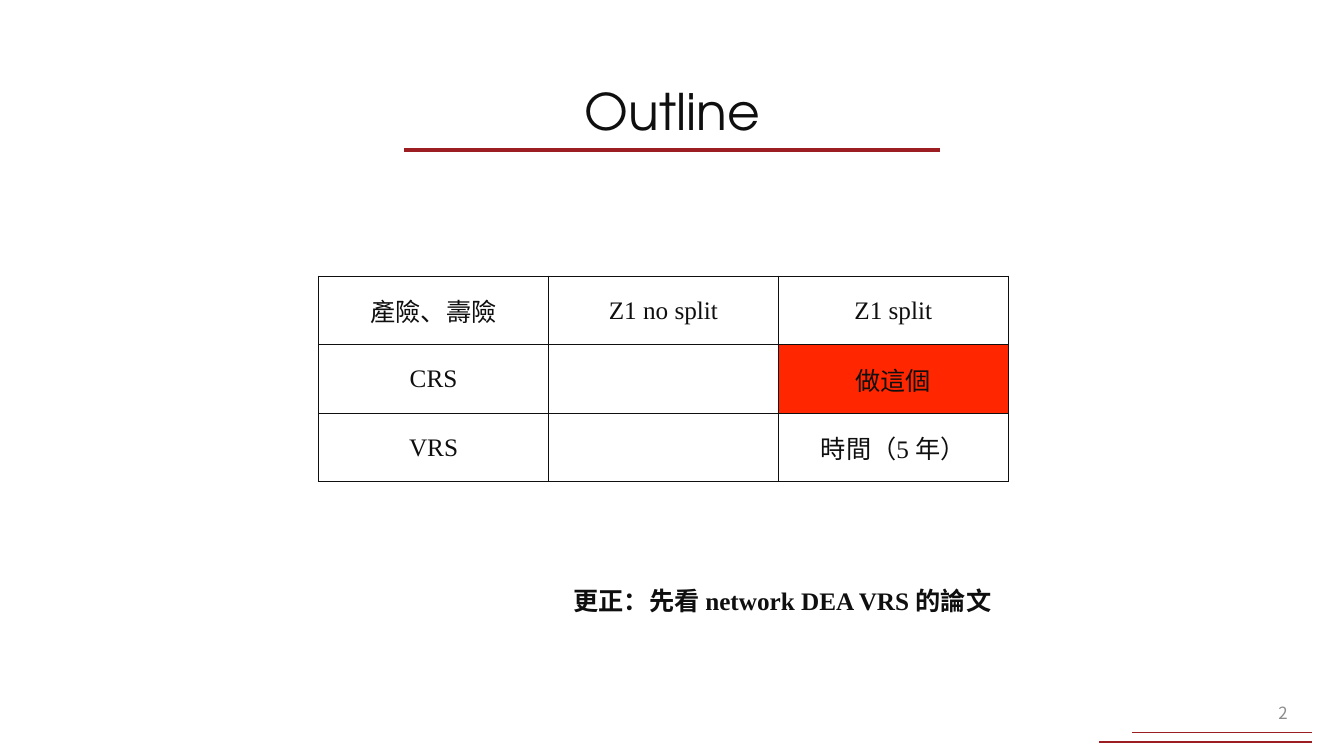
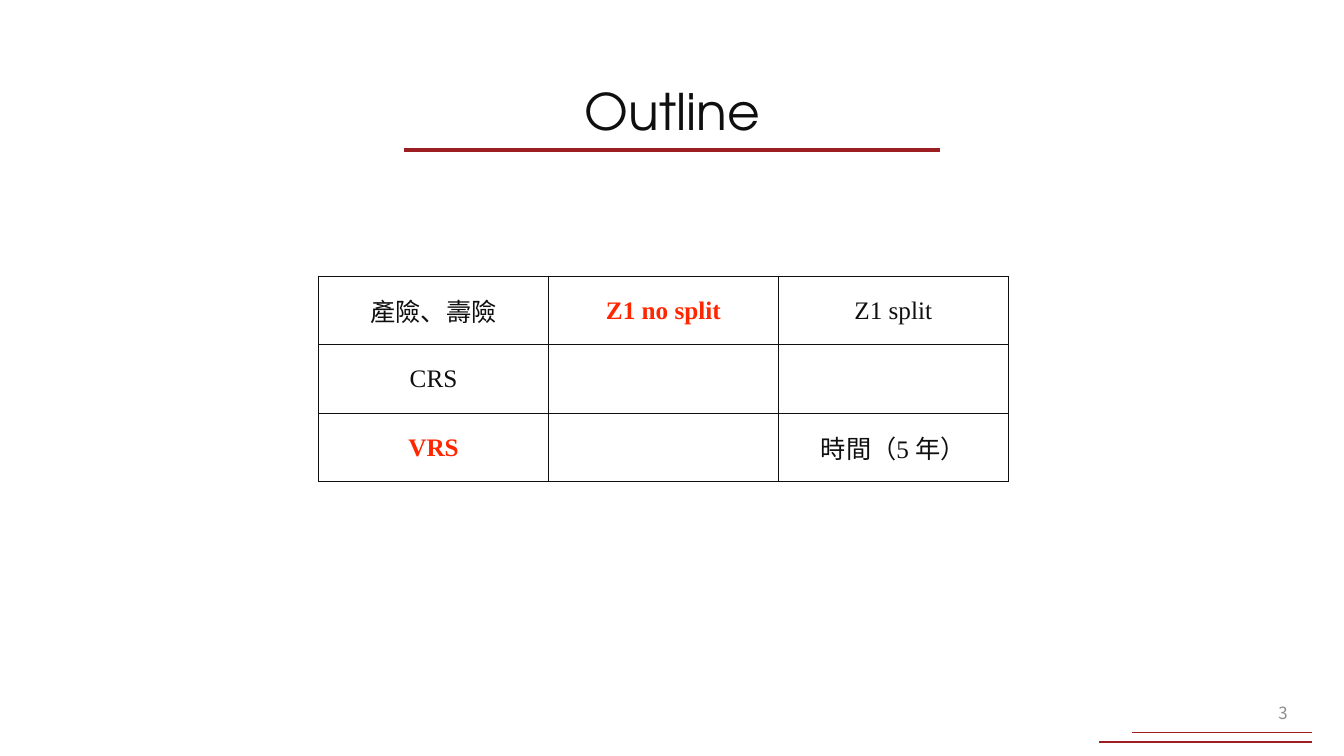
from lxml import etree
from pptx import Presentation
from pptx.dml.color import RGBColor
from pptx.enum import shapes, text
from pptx.oxml import ns
from pptx import util as u

INK = RGBColor(0x0F, 0x0F, 0x0F)
MAROON = RGBColor(0x9C, 0x1D, 0x22)
RED = RGBColor(0xFF, 0x26, 0x00)
GREY = RGBColor(0x8C, 0x8C, 0x8C)

TITLE = {"name": "TeX Gyre Adventor", "size": u.Pt(36), "color": INK}
NUMBER = {"name": "Noto Sans CJK TC", "size": u.Pt(12), "color": GREY}
BODY = {"name": "Times New Roman", "size": u.Pt(18), "color": INK, "bold": False}
NOTE = BODY | {"bold": True}
MARKED = NOTE | {"color": RED}

LEFT, CENTER, RIGHT = text.PP_ALIGN.LEFT, text.PP_ALIGN.CENTER, text.PP_ALIGN.RIGHT
TOP, MIDDLE = text.MSO_ANCHOR.TOP, text.MSO_ANCHOR.MIDDLE

RULES = [
    (4.01, 9.32, 1.49, 2.5),
    (10.9, 13.01, 7.36, 1.5),
    (11.23, 13.01, 7.27, 1),
]
TABLE_LEFT, TABLE_TOP = 3.16, 2.74
COLUMN_WIDTH, ROW_HEIGHT = 2.28, 0.68
HEADER = ["產險、壽險", "Z1 no split", "Z1 split"]
LAST_ROW = ["VRS", "", "時間（5 年）"]

SLIDES = [
    {
        "number": "2",
        "rows": [HEADER, ["CRS", "", "做這個"], LAST_ROW],
        "filled": ["做這個"],
        "marked": [],
        "note": "更正：先看 network DEA VRS 的論文",
    },
    {
        "number": "3",
        "rows": [HEADER, ["CRS", "", ""], LAST_ROW],
        "filled": [],
        "marked": ["Z1 no split", "VRS"],
        "note": "",
    },
]


def write(paragraph, words, style, align):
    paragraph.alignment = align
    run = paragraph.add_run()
    run.text = words
    for key, value in style.items():
        if key == "color":
            run.font.color.rgb = value
        else:
            setattr(run.font, key, value)


def add_text(slide, box, words, style, align, anchor, wrap=True):
    frame = slide.shapes.add_textbox(*map(u.Inches, box)).text_frame
    frame.word_wrap = wrap
    frame.vertical_anchor = anchor
    write(frame.paragraphs[0], words, style, align)


presentation = Presentation()
presentation.slide_width = u.Inches(13.33)
presentation.slide_height = u.Inches(7.5)

for content in SLIDES:
    slide = presentation.slides.add_slide(presentation.slide_layouts[6])

    for start, end, height, weight in RULES:
        rule = slide.shapes.add_connector(
            shapes.MSO_CONNECTOR.STRAIGHT,
            u.Inches(start), u.Inches(height), u.Inches(end), u.Inches(height),
        )
        rule.line.color.rgb = MAROON
        rule.line.width = u.Pt(weight)
        etree.SubElement(rule._element.spPr, ns.qn("a:effectLst"))

    add_text(slide, (5.69, 0.75, 1.96, 0.71), "Outline", TITLE, CENTER, TOP, wrap=False)
    add_text(slide, (11.4, 6.87, 1.47, 0.4), content["number"], NUMBER, RIGHT, MIDDLE)

    rows = content["rows"]
    table = slide.shapes.add_table(
        len(rows), len(HEADER), u.Inches(TABLE_LEFT), u.Inches(TABLE_TOP),
        u.Inches(COLUMN_WIDTH * len(HEADER)), u.Inches(ROW_HEIGHT * len(rows)),
    ).table
    table.first_row = False
    table.horz_banding = False
    for column in table.columns:
        column.width = u.Inches(COLUMN_WIDTH)

    for row, labels in enumerate(rows):
        table.rows[row].height = u.Inches(ROW_HEIGHT)
        for column, label in enumerate(labels):
            cell = table.cell(row, column)
            cell.vertical_anchor = MIDDLE
            properties = cell._tc.get_or_add_tcPr()
            for side in ("lnL", "lnR", "lnT", "lnB"):
                border = etree.SubElement(properties, ns.qn(f"a:{side}"), w=str(u.Pt(1)))
                solid = etree.SubElement(border, ns.qn("a:solidFill"))
                etree.SubElement(solid, ns.qn("a:srgbClr"), val=str(INK))
            if label in content["filled"]:
                cell.fill.solid()
                cell.fill.fore_color.rgb = RED
            else:
                cell.fill.background()
            if label:
                style = MARKED if label in content["marked"] else BODY
                write(cell.text_frame.paragraphs[0], label, style, CENTER)

    if content["note"]:
        add_text(slide, (5.59, 5.76, 4.39, 0.4), content["note"], NOTE, LEFT, TOP)

presentation.save("out.pptx")
